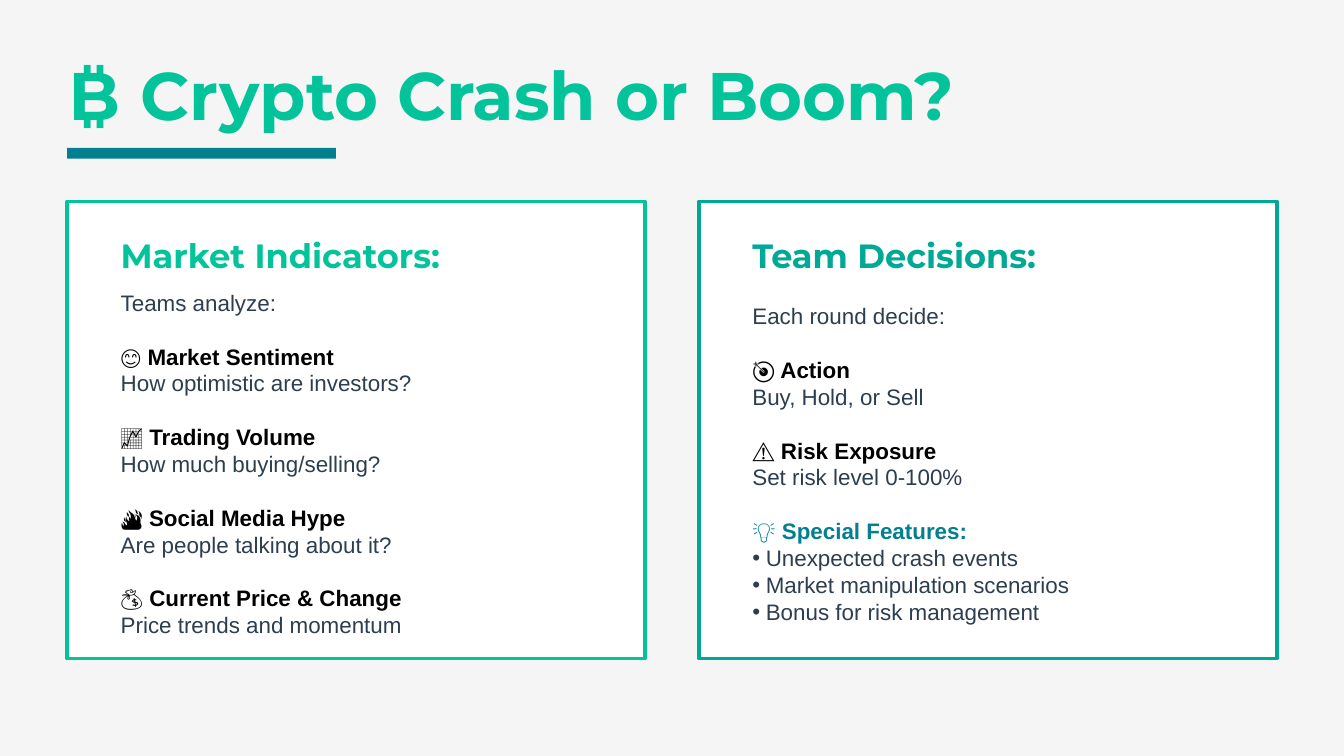
from lxml import etree
from pptx import Presentation
from pptx.dml.color import RGBColor
from pptx.enum.shapes import MSO_SHAPE
from pptx.enum.text import MSO_ANCHOR, PP_ALIGN
from pptx.oxml.ns import qn
from pptx.util import Inches, Pt

BACKGROUND = RGBColor(0xF5, 0xF5, 0xF5)
WHITE = RGBColor(0xFF, 0xFF, 0xFF)
BLACK = RGBColor(0x00, 0x00, 0x00)
MINT = RGBColor(0x02, 0xC3, 0x9A)
TEAL = RGBColor(0x00, 0xA8, 0x96)
OCEAN = RGBColor(0x02, 0x80, 0x90)
SLATE = RGBColor(0x2C, 0x3E, 0x50)

HEADING_FONT, BODY_FONT = "Montserrat", "Arial"
LINE = Pt(14.4)

# Page grid, in inches, on a 16:9 slide
WIDTH = 10
HEIGHT = WIDTH * 9 / 16
MARGIN, GUTTER = 0.5, 0.4
CARD_TOP, CARD_HEIGHT = 1.5, 3.4
CARD_WIDTH = (WIDTH - 2 * MARGIN - GUTTER) / 2
PADDING = 0.3

# Each card: heading, accent, introduction, then (label, label colour, details)
CARDS = [
    ("Market Indicators:", MINT, "Teams analyze:", [
        ("😊 Market Sentiment", BLACK, ["How optimistic are investors?"]),
        ("📈 Trading Volume", BLACK, ["How much buying/selling?"]),
        ("🔥 Social Media Hype", BLACK, ["Are people talking about it?"]),
        ("💰 Current Price & Change", BLACK, ["Price trends and momentum"]),
    ]),
    ("Team Decisions:", TEAL, "Each round decide:", [
        ("🎯 Action", BLACK, ["Buy, Hold, or Sell"]),
        ("⚠️ Risk Exposure", BLACK, ["Set risk level 0-100%"]),
        ("💡 Special Features:", OCEAN, [
            "Unexpected crash events",
            "Market manipulation scenarios",
            "Bonus for risk management",
        ]),
    ]),
]


def inches(box):
    return [Inches(length) for length in box]


def style(paragraph, font_name, size, color, bold):
    for run in paragraph.runs:
        font = run.font
        font.name, font.size, font.bold = font_name, Pt(size), bold
        font.color.rgb = color


def add_panel(slide, box, fill, border=None):
    panel = slide.shapes.add_shape(MSO_SHAPE.RECTANGLE, *inches(box))
    panel.shadow.inherit = False
    panel.fill.solid()
    panel.fill.fore_color.rgb = fill
    if border is None:
        panel.line.fill.background()
    else:
        panel.line.color.rgb = border
        panel.line.width = Pt(2)


def add_frame(slide, box):
    frame = slide.shapes.add_textbox(*inches(box)).text_frame
    frame.word_wrap = True
    frame.vertical_anchor = MSO_ANCHOR.MIDDLE
    return frame


def add_bullet(paragraph):
    properties = paragraph._p.get_or_add_pPr()
    indent = Inches(0.1)
    properties.set("marL", str(indent))
    properties.set("indent", str(-indent))
    etree.SubElement(properties, qn("a:buFont")).set("typeface", BODY_FONT)
    etree.SubElement(properties, qn("a:buChar")).set("char", "•")


def add_line(paragraph, text, color=SLATE, bold=False):
    paragraph.text = text
    paragraph.line_spacing = LINE
    style(paragraph, BODY_FONT, 12, color, bold)


def build_header(slide, left, top, width):
    title = slide.shapes.title
    title.left, title.top, title.width, title.height = inches((left, top, width, 0.6))
    frame = title.text_frame
    frame.text = "₿ Crypto Crash or Boom?"
    frame.word_wrap = True
    frame.vertical_anchor = MSO_ANCHOR.MIDDLE
    frame.margin_left = frame.margin_right = frame.margin_top = frame.margin_bottom = 0
    frame.paragraphs[0].alignment = PP_ALIGN.LEFT
    style(frame.paragraphs[0], HEADING_FONT, 36, MINT, True)
    # Underline bar
    add_panel(slide, (left, top + 0.7, 2, 0.08), OCEAN)


def build_card(slide, box, heading, accent, introduction, topics):
    left, top, width, height = box
    add_panel(slide, box, WHITE, accent)
    inner_left, inner_width = left + PADDING, width - 2 * PADDING

    # Heading
    heading_frame = add_frame(slide, (inner_left, top + 0.2, inner_width, 0.4))
    heading_frame.text = heading
    style(heading_frame.paragraphs[0], HEADING_FONT, 18, accent, True)

    # Introduction and topics
    body = add_frame(slide, (inner_left, top + 0.7, inner_width, height - 0.9))
    add_line(body.paragraphs[0], introduction)
    for label, color, details in topics:
        label_line = body.add_paragraph()
        add_line(label_line, label, color, True)
        label_line.space_before = LINE
        for detail in details:
            detail_line = body.add_paragraph()
            add_line(detail_line, detail)
            if len(details) > 1:
                add_bullet(detail_line)


def main():
    deck = Presentation()
    deck.slide_width, deck.slide_height = Inches(WIDTH), Inches(HEIGHT)
    slide = deck.slides.add_slide(deck.slide_layouts[5])
    slide.background.fill.solid()
    slide.background.fill.fore_color.rgb = BACKGROUND

    build_header(slide, MARGIN, 0.4, WIDTH - 2 * MARGIN)
    for column, card in enumerate(CARDS):
        left = MARGIN + column * (CARD_WIDTH + GUTTER)
        build_card(slide, (left, CARD_TOP, CARD_WIDTH, CARD_HEIGHT), *card)
    deck.save("out.pptx")


if __name__ == "__main__":
    main()
